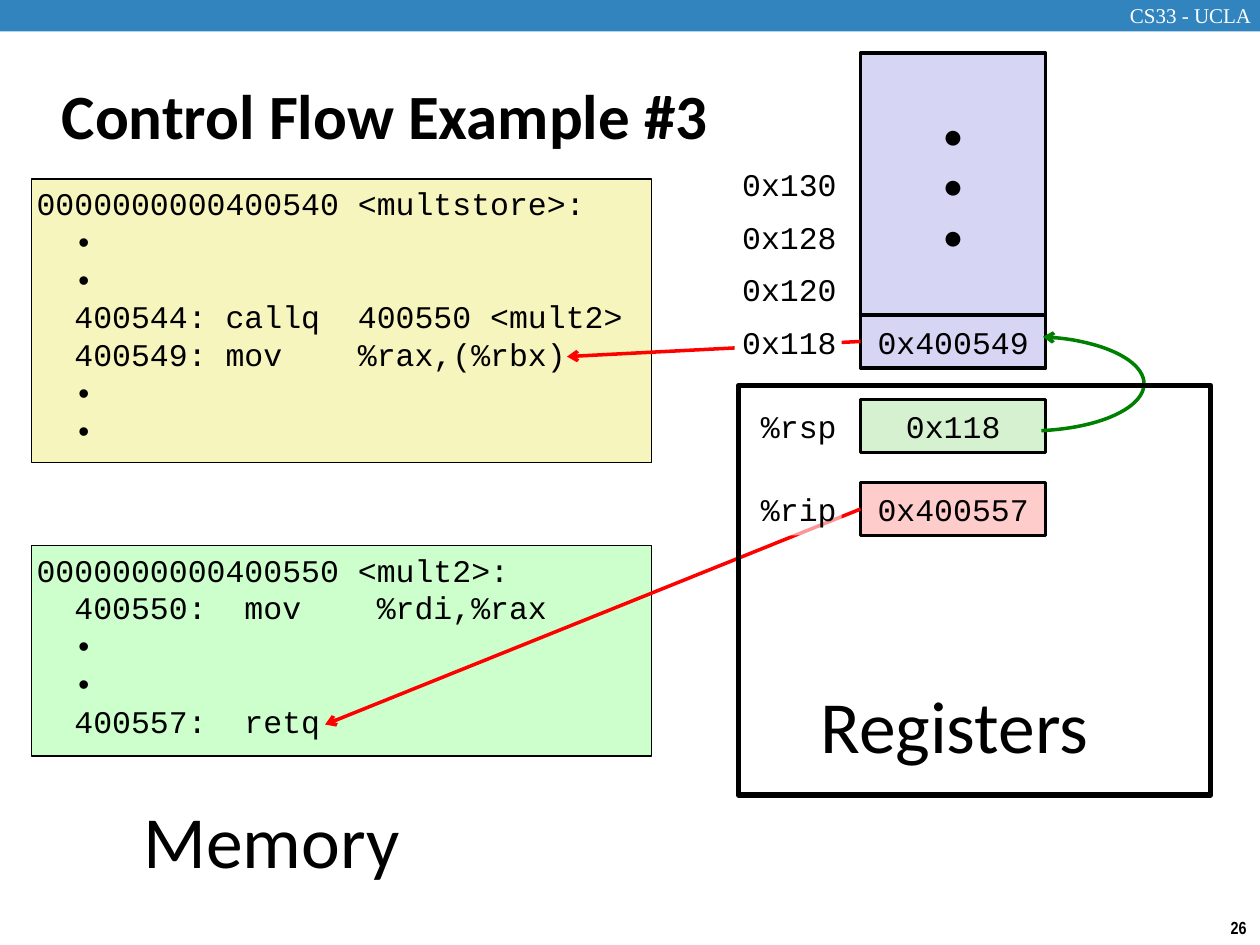
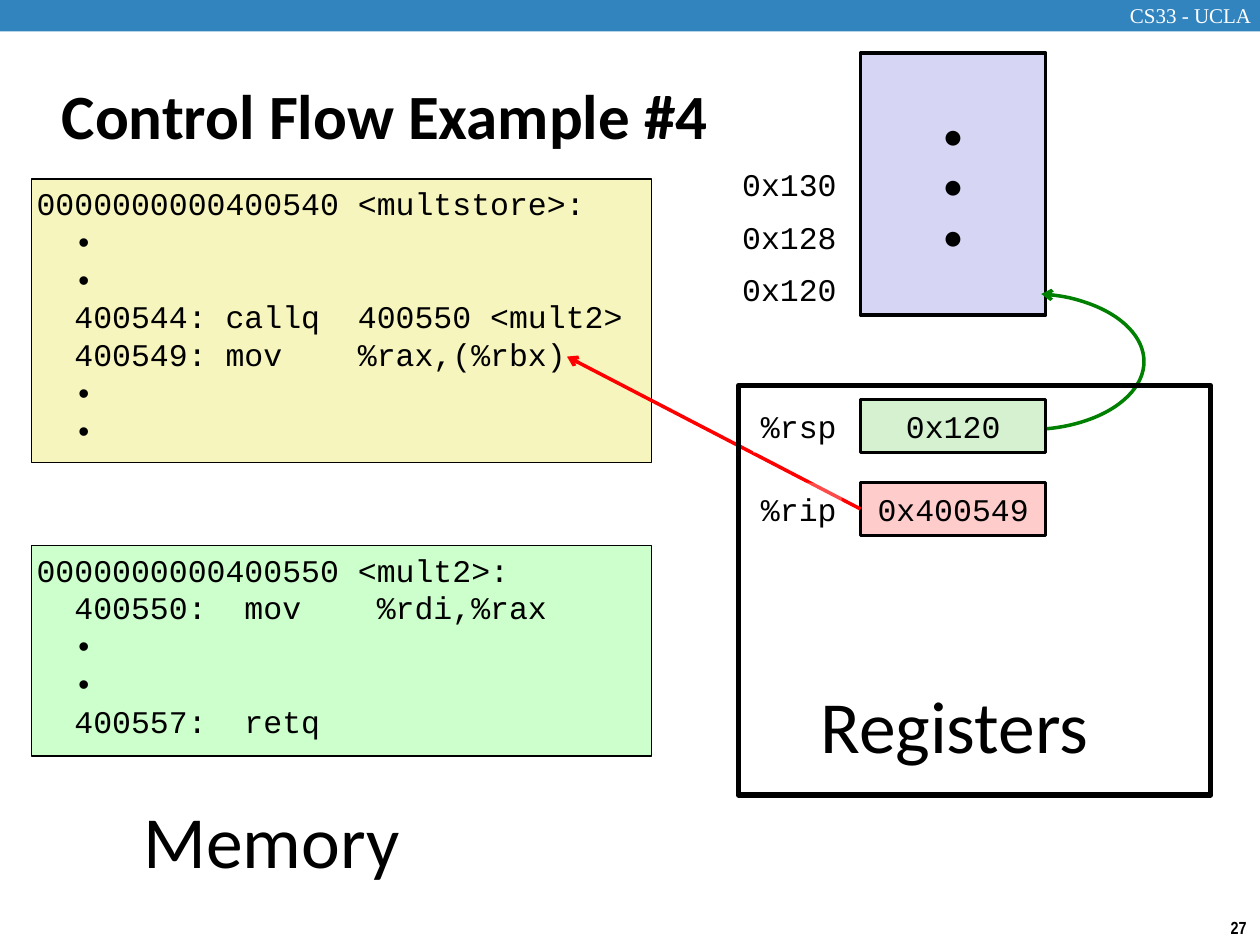
from lxml import etree
from pptx import Presentation
from pptx.dml.color import RGBColor
from pptx.enum import shapes, text
from pptx.oxml.ns import qn
from pptx.util import Inches, Pt

# Colours and fonts shared by the slides
BLACK = RGBColor(0x00, 0x00, 0x00)
WHITE = RGBColor(0xFF, 0xFF, 0xFF)
BAND = RGBColor(0x32, 0x84, 0xBF)
YELLOW = RGBColor(0xF6, 0xF5, 0xBD)
MINT = RGBColor(0xCC, 0xFF, 0xCC)
PINK = RGBColor(0xFF, 0xCC, 0xCC)
PALE_GREEN = RGBColor(0xD5, 0xF1, 0xCF)
LAVENDER = RGBColor(0xD6, 0xD6, 0xF4)
RED = RGBColor(0xFF, 0x00, 0x00)
GREEN = RGBColor(0x00, 0x80, 0x00)

CODE = {"name": "Courier New", "size": Pt(18)}
DOTS = {"name": "Calibri", "size": Pt(24)}
CAPTION = {"name": "Calibri", "size": Pt(42)}
TITLE = {"name": "Calibri", "size": Pt(36), "bold": True}
COURSE = {"name": "Times New Roman", "size": Pt(12)}
NUMBER = {"name": "Arial Narrow", "size": Pt(10), "bold": True}

LEFT, CENTER, RIGHT = text.PP_ALIGN.LEFT, text.PP_ALIGN.CENTER, text.PP_ALIGN.RIGHT
TOP, MIDDLE = text.MSO_ANCHOR.TOP, text.MSO_ANCHOR.MIDDLE
RECT = shapes.MSO_SHAPE.RECTANGLE

# Column and row measures of the stack and the registers
CELL_X, CELL_W, CELL_H = 6.83, 1.47, 0.42
LABEL_RIGHT = 6.68
STACK_TOP, STACK_BOTTOM = 0.42, 2.5
RSP_Y, RIP_Y = 3.17, 3.83

MULTSTORE = ["0000000000400540 <multstore>:", "  •", "  •",
             "  400544: callq  400550 <mult2>",
             "  400549: mov    %rax,(%rbx)", "  •", "  •"]
MULT2 = ["0000000000400550 <mult2>:", "  400550:  mov    %rdi,%rax",
         "  •", "  •", "  400557:  retq"]


def write(sp, lines, font, color=BLACK, align=LEFT, anchor=TOP, inset=0.04, wrap=True):
    tf = sp.text_frame
    frame = {"word_wrap": wrap, "vertical_anchor": anchor}
    frame.update({f"margin_{side}": Inches(inset)
                  for side in ("left", "top", "right", "bottom")})
    for name, value in frame.items():
        setattr(tf, name, value)
    for i, line in enumerate(lines):
        p = tf.paragraphs[0] if i == 0 else tf.add_paragraph()
        p.alignment = align
        r = p.add_run()
        r.text = line
        for name, value in font.items():
            setattr(r.font, name, value)
        r.font.color.rgb = color


def add_box(s, at, fill=None, line_width=None, kind=RECT, line=BLACK):
    sp = s.shapes.add_shape(kind, *map(Inches, at))
    sp.shadow.inherit = False
    if fill is None:
        sp.fill.background()
    else:
        sp.fill.solid()
        sp.fill.fore_color.rgb = fill
    if line_width is None:
        sp.line.fill.background()
    else:
        sp.line.color.rgb = line
        sp.line.width = Pt(line_width)
    return sp


def add_text(s, at, words, font, color=BLACK, wrap=False, inset=0.05):
    sp = s.shapes.add_textbox(*map(Inches, at))
    write(sp, [words], font, color, CENTER, inset=inset, wrap=wrap)


def add_cell(s, y, value, fill):
    sp = add_box(s, (CELL_X, y, CELL_W, CELL_H), fill, 2)
    write(sp, [value], CODE, align=CENTER, anchor=MIDDLE)
    return sp


def add_label(s, y, words, width, opacity=None):
    sp = add_box(s, (LABEL_RIGHT - width, y, width, CELL_H), WHITE)
    if opacity is not None:
        clr = sp.fill._xPr.find(qn("a:solidFill"))[0]
        etree.SubElement(clr, qn("a:alpha"), val=str(opacity * 1000))
    write(sp, [words], CODE, align=RIGHT, anchor=MIDDLE, wrap=False)


def add_arrowhead(sp):
    etree.SubElement(sp.line._get_or_add_ln(), qn("a:tailEnd"), type="arrow")


def add_pointer(s, cell, end):
    x, y = map(Inches, end)
    c = s.shapes.add_connector(shapes.MSO_CONNECTOR.STRAIGHT, 0, 0, x, y)
    c.begin_connect(cell, 1)
    c.line.color.rgb = RED
    c.line.width = Pt(2)
    add_arrowhead(c)
    etree.SubElement(c._element.spPr, qn("a:effectLst"))


def add_stack_arc(s, top, height, end_angle):
    sp = add_box(s, (7.25, top, 1.83, height), None, 2, shapes.MSO_SHAPE.ARC, GREEN)
    sp.adjustments[0] = 171.09
    sp.adjustments[1] = end_angle
    sp._element.spPr.find(qn("a:xfrm")).set("flipV", "1")
    add_arrowhead(sp)


def add_frame(s, title, number):
    # Band, course name, slide number and title
    add_box(s, (0, 0, 10, 0.25), BAND)
    add_text(s, (8.83, -0.03, 1.24, 0.3), "CS33 - UCLA", COURSE, WHITE, wrap=True)
    add_text(s, (9.66, 7.23, 0.34, 0.27), str(number), NUMBER)
    sp = s.shapes.title
    places = zip(("left", "top", "width", "height"), (0.39, 0.49, 8.3, 0.83))
    for name, value in places:
        setattr(sp, name, Inches(value))
    write(sp, [title], TITLE, anchor=MIDDLE, inset=0.1)


def add_example(prs, example):
    s = prs.slides.add_slide(prs.slide_layouts[5])
    add_frame(s, example["title"], example["number"])

    # Code in memory
    for y, height, fill, lines in ((4.33, 1.67, MINT, MULT2),
                                   (1.42, 2.25, YELLOW, MULTSTORE)):
        write(add_box(s, (0.25, y, 4.92, height), fill, 1), lines, CODE)

    # Register values and stack
    rip = add_cell(s, RIP_Y, example["rip"], PINK)
    add_cell(s, RSP_Y, example["rsp"], PALE_GREEN)
    pushed = example.get("pushed")
    if pushed:
        saved = add_cell(s, STACK_BOTTOM, pushed, LAVENDER)
    stack = add_box(s, (CELL_X, STACK_TOP, CELL_W, STACK_BOTTOM - STACK_TOP), LAVENDER, 2)
    write(stack, ["•"] * 3, DOTS, align=CENTER, anchor=MIDDLE, inset=0)

    # Pointers
    add_stack_arc(s, *example["arc"])
    add_pointer(s, rip, example["rip_target"])
    if pushed:
        add_pointer(s, saved, (4.5, 2.83))

    # Register names and stack addresses
    add_label(s, RSP_Y, "%rsp", 0.7)
    addresses = ["0x130", "0x128", "0x120"] + (["0x118"] if pushed else [])
    for i, address in enumerate(addresses):
        add_label(s, 1.25 + i * 1.25 / 3, address, 0.85)
    add_label(s, RIP_Y, "%rip", 0.7, example["rip_opacity"])

    # Register frame and captions
    add_box(s, (5.86, 3.06, 3.75, 3.25), None, 3)
    add_text(s, (1.03, 6.26, 2.25, 0.81), "Memory", CAPTION)
    add_text(s, (6.4, 5.35, 2.35, 0.81), "Registers", CAPTION)


EXAMPLES = [
    {"title": "Control Flow Example #3", "number": 26,
     "rip": "0x400557", "rsp": "0x118", "pushed": "0x400549",
     "arc": (2.67, 0.75, 43.95), "rip_target": (2.58, 5.75), "rip_opacity": 59},
    {"title": "Control Flow Example #4", "number": 27,
     "rip": "0x400549", "rsp": "0x120",
     "arc": (2.33, 1.08, 47.69), "rip_target": (4.5, 2.83), "rip_opacity": 29},
]


def main():
    prs = Presentation()
    prs.slide_width, prs.slide_height = Inches(10), Inches(7.5)
    for example in EXAMPLES:
        add_example(prs, example)
    prs.save("out.pptx")


if __name__ == "__main__":
    main()
